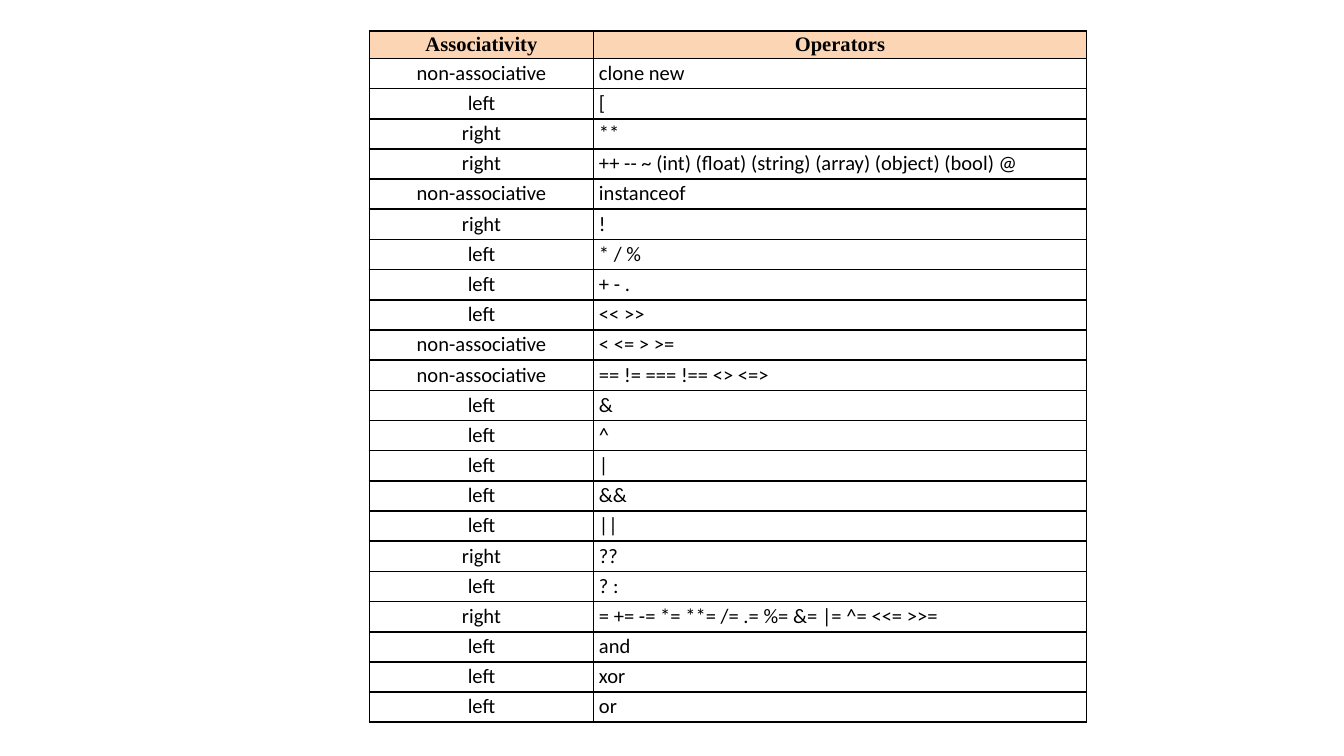
from lxml import etree
from pptx import Presentation
from pptx.dml.color import RGBColor
from pptx.enum.text import MSO_ANCHOR, PP_ALIGN
from pptx.oxml.ns import qn
from pptx.util import Cm, Pt

BLACK = RGBColor(0x00, 0x00, 0x00)
PEACH = RGBColor(0xFC, 0xD5, 0xB5)
LEFT, CENTER = PP_ALIGN.LEFT, PP_ALIGN.CENTER
TOP, MIDDLE = MSO_ANCHOR.TOP, MSO_ANCHOR.MIDDLE
BLANK_LAYOUT = 6
NBSP = "\u00a0"

HEADINGS = ("Associativity", "Operators")
PRECEDENCE = [
    ("non-associative", "clone new"),
    ("left", "["),
    ("right", "**"),
    ("right", "++ -- ~ (int) (float) (string) (array) (object) (bool) @"),
    ("non-associative", "instanceof"),
    ("right", "!"),
    ("left", "* / %"),
    ("left", "+ - ."),
    ("left", "<< >>"),
    ("non-associative", "< <= > >="),
    ("non-associative", "== != === !== <> <=>"),
    ("left", "&"),
    ("left", "^"),
    ("left", "|"),
    ("left", "&&"),
    ("left", "||"),
    ("right", "??"),
    ("left", "? :"),
    ("right", "= += -= *= **= /= .= %= &= |= ^= <<= >>="),
    ("left", "and"),
    ("left", "xor"),
    ("left", "or"),
]


class SlideBuilder:
    """Holds the table style and the current slide."""

    heading_font = "Times New Roman"
    body_font = "Calibri"
    size = Pt(11)
    border = Pt(1)
    heading_height = Cm(0.52)
    row_height = Cm(0.57)

    def __init__(self, slide):
        self.slide = slide

    def table(self, left, top, widths, headings, rows):
        height = self.heading_height + self.row_height * len(rows)
        table = self.slide.shapes.add_table(
            len(rows) + 1, len(widths), left, top, sum(widths), height).table
        table.first_row = table.horz_banding = False
        for column, width in zip(table.columns, widths):
            column.width = width
        for r, texts in enumerate([headings, *rows]):
            is_heading = r == 0
            table.rows[r].height = (
                self.heading_height if is_heading else self.row_height)
            for c, text in enumerate(texts):
                align = CENTER if is_heading or c == 0 else LEFT
                self.cell(table.cell(r, c), text, align, is_heading)

    def cell(self, cell, text, align, is_heading):
        cell.margin_left = cell.margin_right = Cm(0.1)
        cell.margin_top = Cm(0.04)
        cell.margin_bottom = Cm(0.05)
        cell.vertical_anchor = MIDDLE if is_heading else TOP
        self.borders(cell)
        if is_heading:
            cell.fill.solid()
            cell.fill.fore_color.rgb = PEACH
        else:
            cell.fill.background()
        paragraph = cell.text_frame.paragraphs[0]
        paragraph.text = text.replace(" ", NBSP)
        paragraph.alignment = align
        font = paragraph.runs[0].font
        font.name = self.heading_font if is_heading else self.body_font
        font.size = self.size
        font.bold = is_heading
        font.color.rgb = BLACK

    def borders(self, cell):
        # Border lines come before the fill in the cell properties
        properties = cell._tc.get_or_add_tcPr()
        for side in ("a:lnL", "a:lnR", "a:lnT", "a:lnB"):
            line = etree.SubElement(properties, qn(side), w=str(self.border))
            fill = etree.SubElement(line, qn("a:solidFill"))
            etree.SubElement(fill, qn("a:srgbClr"), val=str(BLACK))


# Slide
presentation = Presentation()
presentation.slide_width = Cm(25.4)
presentation.slide_height = Cm(14.28)
builder = SlideBuilder(
    presentation.slides.add_slide(presentation.slide_layouts[BLANK_LAYOUT]))

# Operator precedence table
builder.table(Cm(6.98), Cm(0.58), (Cm(4.24), Cm(9.31)), HEADINGS, PRECEDENCE)

presentation.save("out.pptx")
